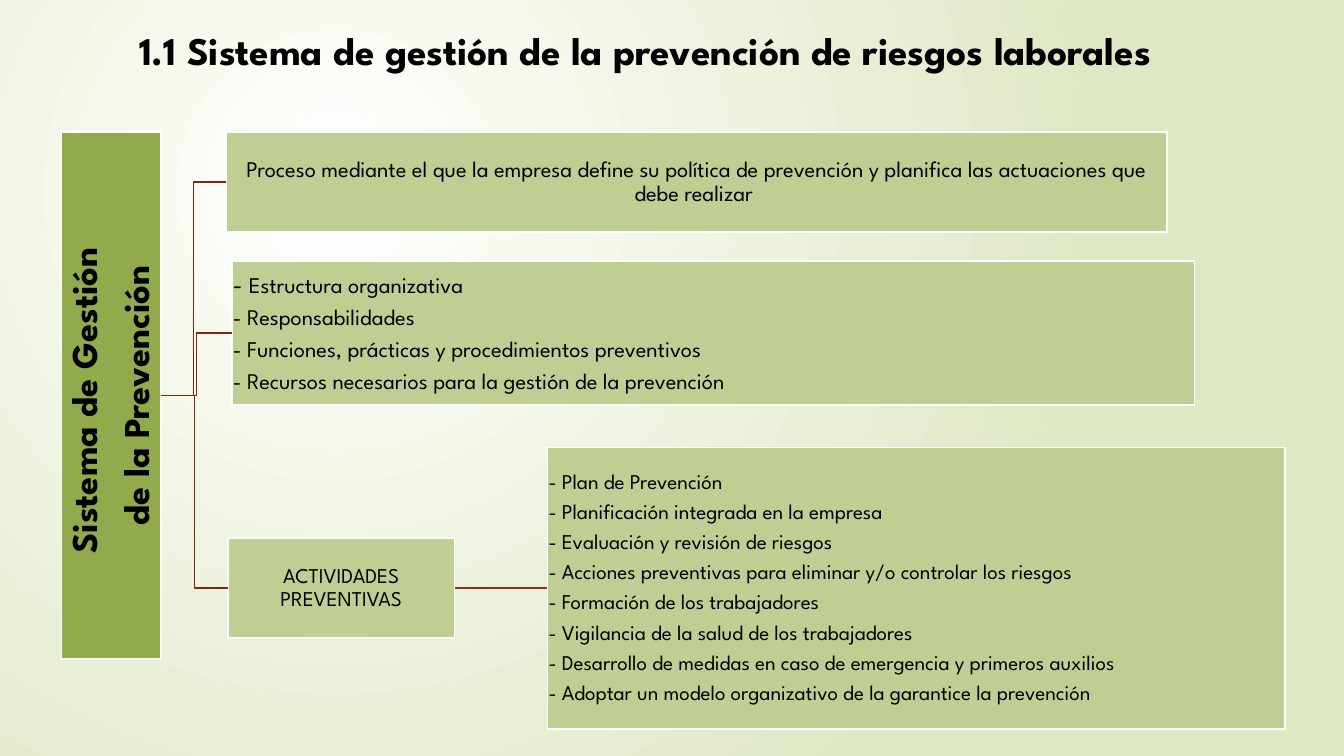
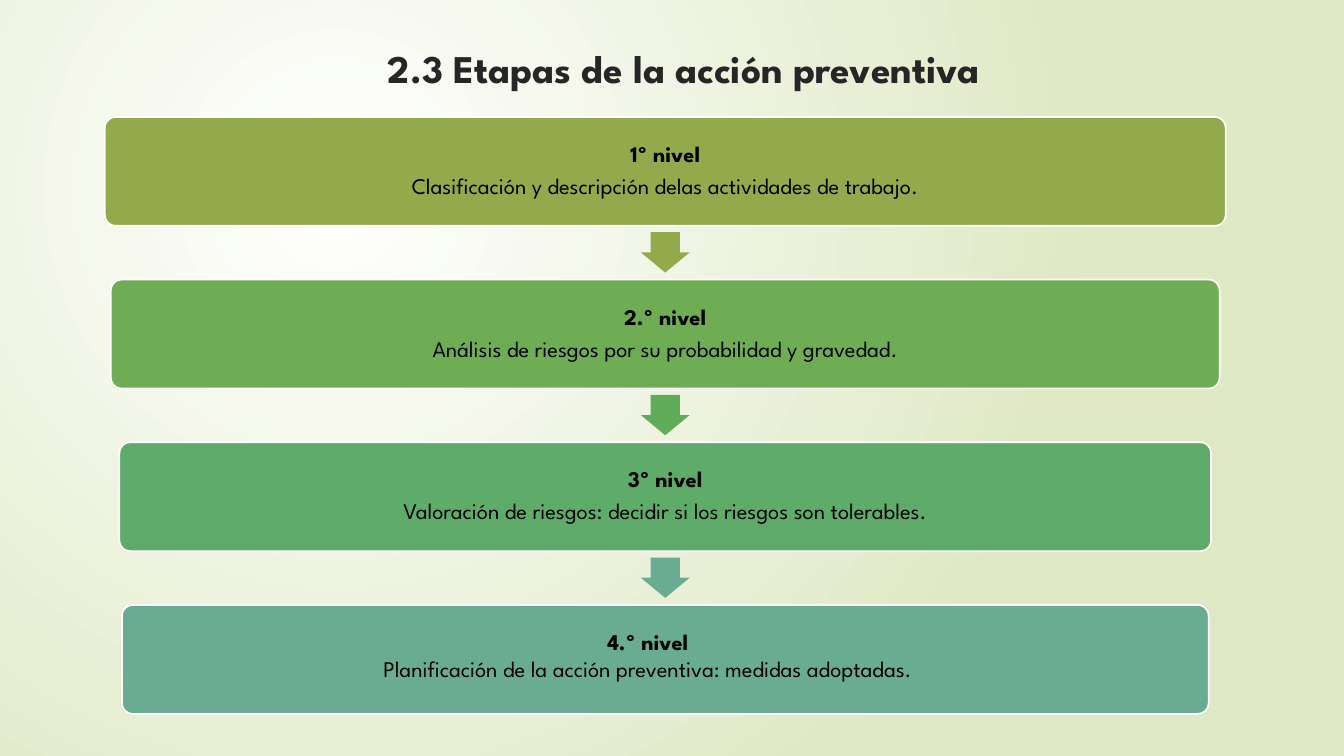
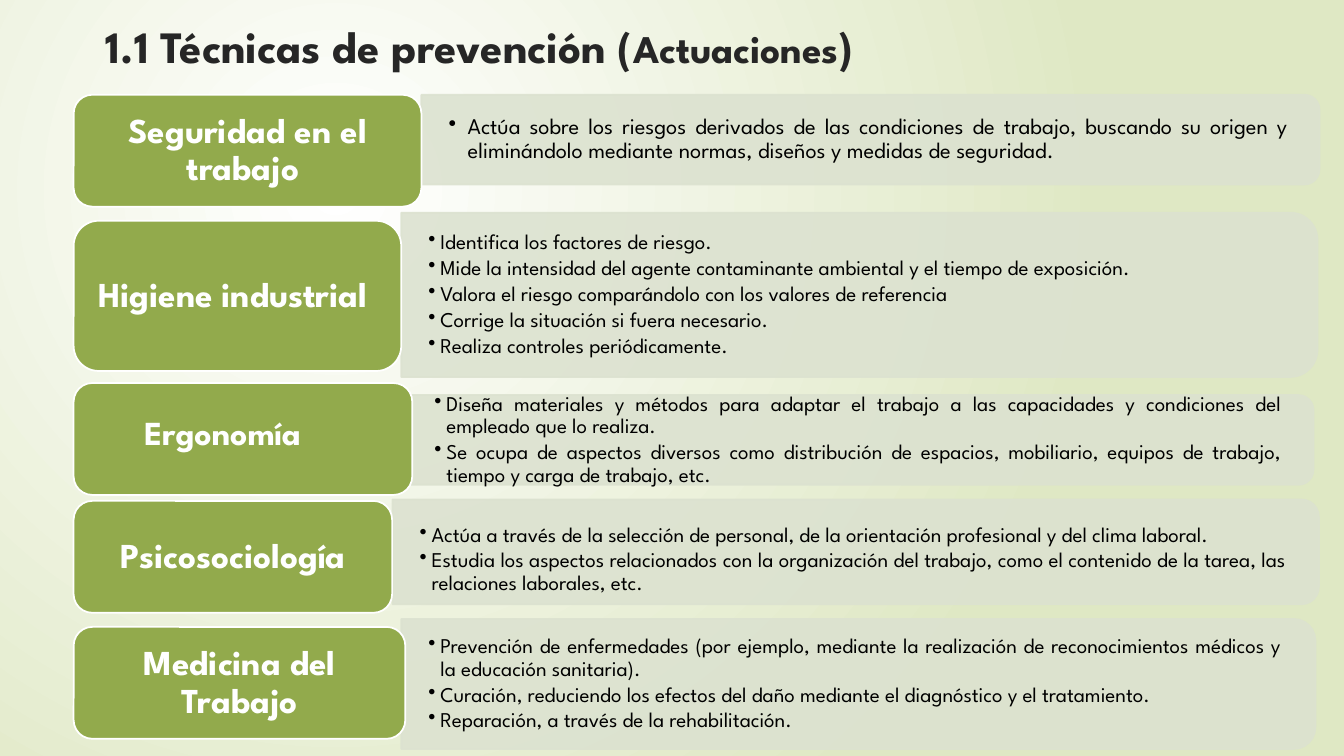
"""Build three slides on occupational risk prevention."""
from dataclasses import dataclass

from lxml.etree import SubElement
from pptx import Presentation
from pptx.dml.color import RGBColor
from pptx.enum.shapes import MSO_CONNECTOR, MSO_SHAPE
from pptx.enum.text import MSO_ANCHOR, MSO_AUTO_SIZE, PP_ALIGN
from pptx.oxml.ns import qn
from pptx.util import Pt

FONT = "League Spartan"
COLOURS = {
    "black": "000000", "title": "262626", "white": "FFFFFF", "backdrop": "DFE8C4",
    "olive": "92AA4C", "light olive": "BFCE92", "panel": "DCE2D0",
    "branch": "84260D", "link": "962C0F",
    "green": "6FAD54", "arrow green": "60AC5A", "sea green": "5FAC6A", "teal": "6AAC91",
}
TIGHT = (0.8, 0.8, 0.8, 0.8)
LABEL_LEFT = 52.6
LEVEL_CENTRE = 475.2
LEVEL_TOP = 83.5
LEVEL_PITCH = 116.2
LEVEL_HEIGHT = 77.8
ARROW_WIDTH = 34.9
ARROW_HEIGHT = 28.8
ARROW_GAP = 4.6


@dataclass(frozen=True)
class Box:
    """Rectangle in points."""
    left: float
    top: float
    width: float
    height: float


@dataclass(frozen=True)
class Level:
    """One stage of preventive action."""
    heading: str
    description: str
    width: float
    fill: str
    arrow: str = ""
    margins: tuple = (5, 5, 5, 5)
    line_spacing: float = 0.9
    after: float = 0.35


@dataclass(frozen=True)
class Technique:
    """One prevention technique with its actions."""
    name: str
    label: Box
    panel: Box
    actions: tuple
    size: float = 15
    hanging: float = 8.6
    label_size: float = 25
    label_margins: tuple = (7.2, 3.6, 7.2, 3.6)
    panel_top_margin: float = 0


LEVELS = (
    Level("1º nivel", "Clasificación y descripción delas actividades de trabajo.",
          800.6, "olive", "olive"),
    Level("2.º nivel", "Análisis de riesgos por su probabilidad y gravedad.",
          792, "green", "arrow green"),
    Level("3º nivel", "Valoración de riesgos: decidir si los riesgos son tolerables.",
          779.8, "sea green", "teal"),
    Level("4.º nivel", "Planificación de la acción preventiva: medidas adoptadas.",
          776.2, "teal", margins=(5, 5, 30, 11), line_spacing=1, after=0),
)

TECHNIQUES = (
    Technique(
        "Seguridad en el trabajo ",
        Box(LABEL_LEFT, 67.7, 248.4, 79.9), Box(301, 67.7, 641.5, 64.1),
        ("Actúa sobre los riesgos derivados de las condiciones de trabajo, buscando su "
         "origen y eliminándolo mediante normas, diseños y medidas de seguridad.",),
        size=16, hanging=13.7),
    Technique(
        "Higiene industrial ",
        Box(LABEL_LEFT, 157.7, 234, 107.3), Box(286.6, 151.9, 654.5, 117.4),
        ("Identifica los factores de riesgo.",
         "Mide la intensidad del agente contaminante ambiental y el tiempo de exposición.",
         "Valora el riesgo comparándolo con los valores de referencia",
         "Corrige la situación si fuera necesario.",
         "Realiza controles periódicamente.")),
    Technique(
        "Ergonomía",
        Box(LABEL_LEFT, 273.6, 241.9, 79.9), Box(290.9, 282.2, 647.3, 64.1),
        ("Diseña materiales y métodos para adaptar el trabajo a las capacidades y "
         "condiciones del empleado que lo realiza. ",
         "Se ocupa de aspectos diversos como distribución de espacios, mobiliario, equipos "
         "de trabajo, tiempo y carga de trabajo, etc."),
        label_size=24, label_margins=(7.2, 3.6, 36, 9.6)),
    Technique(
        "Psicosociología",
        Box(LABEL_LEFT, 357.8, 227.5, 79.9), Box(280.4, 356.8, 661.7, 74.9),
        ("Actúa a través de la selección de personal, de la orientación profesional y del "
         "clima laboral. ",
         "Estudia los aspectos relacionados con la organización del trabajo, como el "
         "contenido de la tarea, las relaciones laborales, etc."),
        panel_top_margin=11),
    Technique(
        "Medicina del Trabajo",
        Box(LABEL_LEFT, 447.8, 236.9, 79.9), Box(286.6, 442.1, 653, 92.9),
        ("Prevención de enfermedades (por ejemplo, mediante la realización de "
         "reconocimientos médicos y la educación sanitaria).",
         "Curación, reduciendo los efectos del daño mediante el diagnóstico y el "
         "tratamiento.",
         "Reparación, a través de la rehabilitación.")),
)


def colour(name: str) -> RGBColor:
    """Look up a named colour."""
    return RGBColor.from_string(COLOURS[name])


def points(box: Box) -> tuple:
    """Give the four lengths of a box."""
    return Pt(box.left), Pt(box.top), Pt(box.width), Pt(box.height)


def write(frame, text, *, size=16.0, ink="black", bold=False, align=PP_ALIGN.CENTER,
          line_spacing=0.9, after=0.35, hanging=0.0) -> None:
    """Add a paragraph from a string or from (text, size) pairs."""
    first = frame.paragraphs[0]
    paragraph = frame.add_paragraph() if first.runs else first
    if hanging:
        properties = paragraph._p.get_or_add_pPr()
        properties.set("marL", str(Pt(hanging)))
        properties.set("indent", str(-Pt(hanging)))
        SubElement(properties, qn("a:buChar")).set("char", "•")
    paragraph.alignment = align
    paragraph.line_spacing = line_spacing
    paragraph.space_after = Pt(round(size * after, 2))
    for words, run_size in ([(text, size)] if isinstance(text, str) else text):
        run = paragraph.add_run()
        run.text = words
        run.font.name = FONT
        run.font.size = Pt(run_size)
        run.font.bold = bold
        run.font.color.rgb = colour(ink)


def set_frame(frame, margins: tuple, anchor=MSO_ANCHOR.MIDDLE) -> None:
    """Set wrapping, anchor and margins (left, top, right, bottom)."""
    frame.word_wrap = True
    frame.auto_size = MSO_AUTO_SIZE.NONE
    frame.vertical_anchor = anchor
    (frame.margin_left, frame.margin_top,
     frame.margin_right, frame.margin_bottom) = map(Pt, margins)


def add_block(slide, kind, box: Box, fill: str, line: str = "white", margins=TIGHT):
    """Add a filled preset shape."""
    shape = slide.shapes.add_shape(kind, *points(box))
    shape.shadow.inherit = False
    shape.fill.solid()
    shape.fill.fore_color.rgb = colour(fill)
    if line:
        shape.line.color.rgb = colour(line)
        shape.line.width = Pt(1.25)
    else:
        shape.line.fill.background()
    set_frame(shape.text_frame, margins)
    return shape


def add_link(slide, kind, begin, end, ink: str) -> None:
    """Join the right side of one shape to the left side of another."""
    connector = slide.shapes.add_connector(kind, 0, 0, 0, 0)
    connector.begin_connect(begin, 3)
    connector.end_connect(end, 1)
    connector.line.color.rgb = colour(ink)
    connector.line.width = Pt(1.25)
    SubElement(connector._element.spPr, qn("a:effectLst"))


def add_titled_slide(presentation, box: Box, text, **text_format):
    """Add a title-only slide and format its title."""
    slide = presentation.slides.add_slide(presentation.slide_layouts[5])
    title = slide.shapes.title
    title.left, title.top, title.width, title.height = points(box)
    set_frame(title.text_frame, (7.2, 3.6, 7.2, 3.6), MSO_ANCHOR.TOP)
    settings = {"size": 28, "ink": "title", "bold": True, "line_spacing": 1, "after": 0}
    write(title.text_frame, text, **(settings | text_format))
    return slide


def set_backdrop(master) -> None:
    """Give the master its circular gradient."""
    fill = master.background.fill
    fill.gradient()
    for stop, name in zip(fill.gradient_stops, ("white", "backdrop")):
        stop.color.rgb = colour(name)
    gradient = next(master.element.iter(qn("a:gradFill")))
    gradient.remove(gradient.find(qn("a:lin")))
    circle = SubElement(gradient, qn("a:path"))
    circle.set("path", "circle")
    target = SubElement(circle, qn("a:fillToRect"))
    for side, share in zip("ltrb", (50000, 50000, 100000, 100000)):
        target.set(side, str(share))


def build_system(presentation) -> None:
    """Draw the prevention management system."""
    slide = add_titled_slide(
        presentation, Box(92.2, 15.1, 846, 41),
        "1.1 Sistema de gestión de la prevención de riesgos laborales",
        ink="black", align=PP_ALIGN.LEFT)
    system = add_block(slide, MSO_SHAPE.RECTANGLE, Box(43.9, 94.3, 71.3, 376.6), "olive")
    system.text_frame._txBody.bodyPr.set("vert", "vert270")
    for line in ("Sistema de Gestión ", "de la Prevención"):
        write(system.text_frame, line, size=26, bold=True)

    process, structure, activities, details = (
        add_block(slide, MSO_SHAPE.RECTANGLE, box, "light olive") for box in (
            Box(161.3, 94.3, 672.5, 71.3), Box(165.6, 186.5, 687.6, 103),
            Box(162.7, 384.5, 162, 71.3), Box(391, 319.7, 527, 200.9)))
    write(process.text_frame,
          "Proceso mediante el que la empresa define su política de prevención y planifica "
          "las actuaciones que debe realizar ")
    for item in ([("- ", 18), ("Estructura organizativa", 16)],
                 "- Responsabilidades",
                 "- Funciones, prácticas y procedimientos preventivos",
                 "- Recursos necesarios para la gestión de la prevención"):
        write(structure.text_frame, item, align=PP_ALIGN.JUSTIFY)
    write(activities.text_frame, "ACTIVIDADES PREVENTIVAS", size=15)
    for item in ("Plan de Prevención",
                 "Planificación integrada en la empresa",
                 "Evaluación y revisión de riesgos",
                 "Acciones preventivas para eliminar y/o controlar los riesgos",
                 "Formación de los trabajadores",
                 "Vigilancia de la salud de los trabajadores",
                 "Desarrollo de medidas en caso de emergencia y primeros auxilios",
                 "Adoptar un modelo organizativo de la garantice la prevención"):
        write(details.text_frame, f"- {item}", size=15, align=PP_ALIGN.LEFT)

    for branch in (activities, structure, process):
        add_link(slide, MSO_CONNECTOR.ELBOW, system, branch, "branch")
    add_link(slide, MSO_CONNECTOR.STRAIGHT, activities, details, "link")


def build_stages(presentation) -> None:
    """Draw the stages of preventive action."""
    slide = add_titled_slide(presentation, Box(90, 28.1, 797, 55.4),
                             "2.3 Etapas de la acción preventiva")
    for index, level in enumerate(LEVELS):
        top = LEVEL_TOP + index * LEVEL_PITCH
        box = Box(LEVEL_CENTRE - level.width / 2, top, level.width, LEVEL_HEIGHT)
        block = add_block(slide, MSO_SHAPE.ROUNDED_RECTANGLE, box, level.fill,
                          margins=level.margins)
        block.adjustments[0] = 0.1
        for text, bold in ((level.heading, True), (level.description, False)):
            write(block.text_frame, text, bold=bold,
                  line_spacing=level.line_spacing, after=level.after)
        if level.arrow:
            arrow_box = Box(LEVEL_CENTRE - ARROW_WIDTH / 2, top + LEVEL_HEIGHT + ARROW_GAP,
                            ARROW_WIDTH, ARROW_HEIGHT)
            arrow = add_block(slide, MSO_SHAPE.DOWN_ARROW, arrow_box, level.arrow, line="")
            arrow.adjustments[0], arrow.adjustments[1] = 0.6, 0.5


def add_panel(slide, technique: Technique) -> None:
    """Draw a translucent panel rounded on the right, with its bulleted text."""
    box = technique.panel
    turned = Box(box.left + (box.width - box.height) / 2,
                 box.top + (box.height - box.width) / 2, box.height, box.width)
    panel = add_block(slide, MSO_SHAPE.ROUND_2_SAME_RECTANGLE, turned, "panel", "panel")
    panel.rotation = 90
    for tint in panel._element.spPr.iter(qn("a:srgbClr")):
        SubElement(tint, qn("a:alpha")).set("val", "90000")
    frame = slide.shapes.add_textbox(*points(box)).text_frame
    corner = 0.05 * box.height
    set_frame(frame, (19.4, technique.panel_top_margin, 19.4 + corner, 0))
    for action in technique.actions:
        write(frame, action, size=technique.size, align=PP_ALIGN.JUSTIFY,
              after=0.15, hanging=technique.hanging)


def build_techniques(presentation) -> None:
    """Draw the prevention techniques."""
    slide = add_titled_slide(
        presentation, Box(68.4, 10.1, 779.8, 46.8),
        [("1.1 Técnicas de prevención (", 32), ("Actuaciones", 28), (")", 32)],
        align=PP_ALIGN.LEFT)
    for technique in TECHNIQUES:
        add_panel(slide, technique)
        label = add_block(slide, MSO_SHAPE.ROUNDED_RECTANGLE, technique.label, "olive",
                          margins=technique.label_margins)
        write(label.text_frame, technique.name, size=technique.label_size,
              ink="white", bold=True)


def main() -> None:
    """Build and save the presentation."""
    presentation = Presentation()
    presentation.slide_width, presentation.slide_height = Pt(960), Pt(540)
    set_backdrop(presentation.slide_master)
    build_system(presentation)
    build_stages(presentation)
    build_techniques(presentation)
    presentation.save("out.pptx")


if __name__ == "__main__":
    main()
